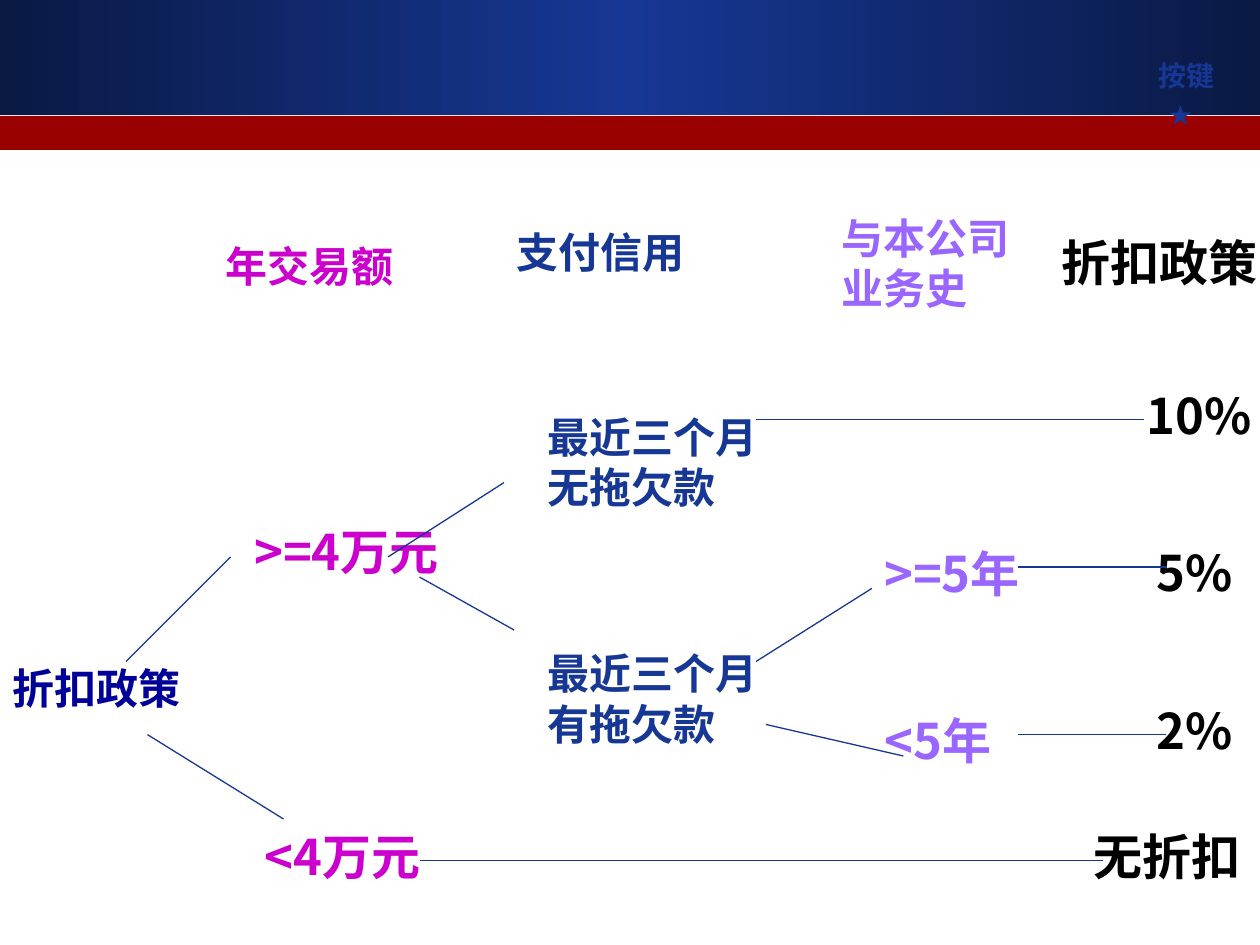
import copy
from typing import NamedTuple

import pptx
import pptx.dml.color
import pptx.enum.shapes
import pptx.enum.text
import pptx.oxml
import pptx.oxml.ns
import pptx.util

Inches = pptx.util.Inches
RGBColor = pptx.dml.color.RGBColor

NAVY = RGBColor(0x0A, 0x19, 0x44)
BLUE = RGBColor(0x16, 0x37, 0x94)
RED = RGBColor(0x99, 0x00, 0x00)
ROOT_BLUE = RGBColor(0x00, 0x00, 0x99)
MAGENTA = RGBColor(0xCC, 0x00, 0xCC)
VIOLET = RGBColor(0x99, 0x66, 0xFF)
BLACK = RGBColor(0x00, 0x00, 0x00)
ARIAL = "Arial"
NOTO = "Noto Sans CJK SC"


class Label(NamedTuple):
    text: str
    left: float
    top: float
    width: float
    height: float
    color: RGBColor
    size: int = 24
    font: str = ARIAL
    bold: bool = True


class Branch(NamedTuple):
    start: tuple[float, float]
    end: tuple[float, float]


HEADINGS = [
    Label("年交易额", 1.69, 1.86, 1.67, 0.5, MAGENTA),
    Label("支付信用", 4, 1.75, 1.67, 0.5, BLUE),
    Label("与本公司\n业务史", 6.58, 1.67, 1.67, 0.83, VIOLET),
    Label("折扣政策", 8.33, 1.83, 1.67, 0.5, BLACK, 28),
]

NODES = [
    Label("折扣政策", 0, 5.08, 1.33, 0.75, ROOT_BLUE),
    Label(">=4万元", 1.92, 4, 1.33, 0.75, MAGENTA, 28, NOTO),
    Label("<4万元", 2, 6.42, 1.33, 0.75, MAGENTA, 28, NOTO),
    Label("最近三个月\n无拖欠款", 4.25, 3, 1.58, 1.33, BLUE),
    Label("最近三个月\n有拖欠款", 4.25, 5, 1.58, 1.08, BLUE),
    Label(">=5年", 6.92, 4.17, 1.33, 0.75, VIOLET, 28, NOTO),
    Label("<5年", 6.92, 5.5, 1.33, 0.75, VIOLET, 28, NOTO),
]

OUTCOMES = [
    Label("10%", 9, 3, 1, 0.58, BLACK, 28, NOTO),
    Label("5%", 9.08, 4.25, 0.92, 0.58, BLACK, 28, NOTO),
    Label("2%", 9.08, 5.5, 0.92, 0.58, BLACK, 28, NOTO),
    Label("无折扣", 8.58, 6.5, 1.42, 0.58, BLACK, 28),
]

KEY_LABELS = [
    Label("按键", 9.1, 0.44, 0.83, 0.32, BLUE, 16),
    Label("★", 9.17, 0.75, 0.83, 0.32, BLUE, 16, bold=False),
]

BRANCHES = [
    Branch((1, 5.25), (1.83, 4.42)),
    Branch((1.17, 5.83), (2.25, 6.5)),
    Branch((3.33, 6.83), (8.75, 6.83)),
    Branch((6, 5.25), (6.92, 4.67)),
    Branch((6.08, 5.75), (7.17, 6)),
    Branch((8.08, 4.5), (9.25, 4.5)),
    Branch((8.08, 5.83), (9.25, 5.83)),
    Branch((6, 3.33), (9.08, 3.33)),
    Branch((3.08, 4.42), (4, 3.83)),
    Branch((3.33, 4.58), (4.08, 5)),
]


def add_rectangle(page, left: float, top: float, width: float, height: float):
    """Add a rectangle without outline or shadow."""
    box = page.shapes.add_shape(
        pptx.enum.shapes.MSO_SHAPE.RECTANGLE,
        Inches(left), Inches(top), Inches(width), Inches(height))
    box.shadow.inherit = False
    box.line.fill.background()
    return box


def fill_gradient(band) -> None:
    """Shade from navy through blue in the middle back to navy."""
    band.fill.gradient()
    band.fill.gradient_angle = 0
    stop_list = band.fill.gradient_stops
    for stop, color, position in zip(stop_list, (NAVY, BLUE), (0, 0.5)):
        stop.color.rgb = color
        stop.position = position
    stops = band._element.spPr.find(".//" + pptx.oxml.ns.qn("a:gsLst"))
    last = copy.deepcopy(stops[0])
    last.set("pos", "100000")
    stops.append(last)


def add_text(page, text: str, *, left: float, top: float, width: float,
             height: float, color: RGBColor, size: int, font: str,
             bold: bool) -> None:
    """Add an unfilled, unwrapped label, one paragraph a line."""
    box = add_rectangle(page, left, top, width, height)
    box.fill.background()
    frame = box.text_frame
    frame.word_wrap = False
    frame.vertical_anchor = pptx.enum.text.MSO_ANCHOR.MIDDLE
    frame.text = text
    for para in frame.paragraphs:
        para.alignment = pptx.enum.text.PP_ALIGN.LEFT
        for span in para.runs:
            span.font.name = font
            span.font.size = pptx.util.Pt(size)
            span.font.bold = bold
            span.font.color.rgb = color


def add_branch(page, branch: Branch) -> None:
    """Add a thin straight line of the tree."""
    line = page.shapes.add_connector(
        pptx.enum.shapes.MSO_CONNECTOR.STRAIGHT,
        *(Inches(value) for value in branch.start + branch.end))
    line.line.color.rgb = BLUE
    line.line.width = pptx.util.Pt(0.75)
    line._element.spPr.append(pptx.oxml.parse_xml(
        f"<a:effectLst {pptx.oxml.ns.nsdecls('a')}/>"))


def main() -> None:
    deck = pptx.Presentation()
    deck.slide_width = Inches(10)
    deck.slide_height = Inches(7.5)
    page = deck.slides.add_slide(deck.slide_layouts[6])

    # Header bars
    fill_gradient(add_rectangle(page, 0, 0, 10, 0.91))
    red_band = add_rectangle(page, 0, 0.92, 10, 0.27)
    red_band.fill.solid()
    red_band.fill.fore_color.rgb = RED

    # Decision tree, then the lines over it
    for label in NODES + OUTCOMES:
        add_text(page, **label._asdict())
    for branch in BRANCHES:
        add_branch(page, branch)

    # Column headings and key label
    for label in HEADINGS + KEY_LABELS:
        add_text(page, **label._asdict())

    deck.save("out.pptx")


if __name__ == "__main__":
    main()
